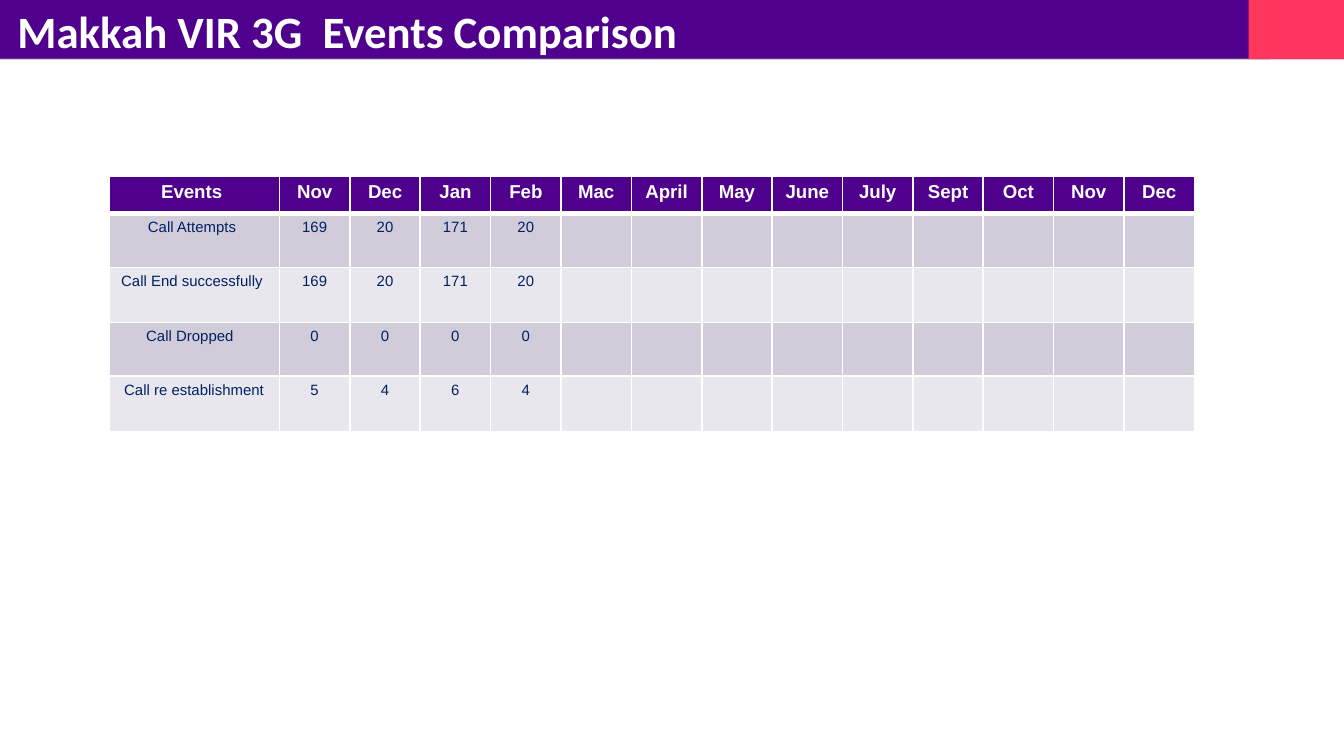
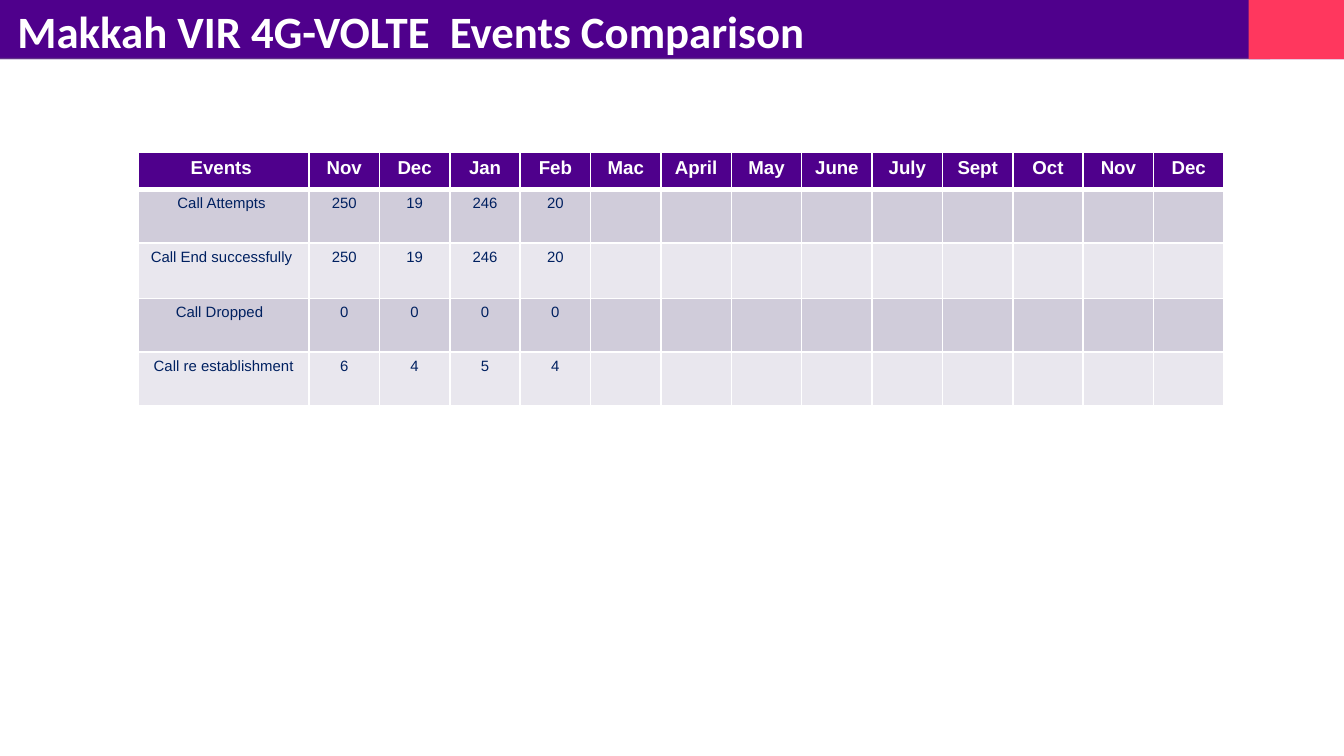
from lxml import etree
from pptx import Presentation
from pptx.dml.color import RGBColor
from pptx.enum.shapes import MSO_SHAPE
from pptx.enum.text import MSO_ANCHOR, PP_ALIGN
from pptx.oxml.ns import qn
from pptx.util import Inches, Pt

RECT = MSO_SHAPE.RECTANGLE
TOP = MSO_ANCHOR.TOP
CENTER = PP_ALIGN.CENTER

PURPLE = RGBColor(0x4F, 0x00, 0x8C)
RULE_PURPLE = RGBColor(0x62, 0x32, 0x89)
PINK = RGBColor(0xFF, 0x37, 0x5E)
WHITE = RGBColor(0xFF, 0xFF, 0xFF)
NAVY = RGBColor(0x00, 0x20, 0x60)
BAND_DARK = RGBColor(0xD0, 0xCC, 0xDA)
BAND_LIGHT = RGBColor(0xE9, 0xE7, 0xEE)

SLIDE_W = 10
SLIDE_H = SLIDE_W * 9 / 16
BAND_H = 0.44
ACCENT_W = 0.71
TABLE_W, EVENT_COL_W = 8.08, 1.27
HEADER_H = 0.28

HEADERS = ["Events ", "Nov", "Dec", "Jan", "Feb", "Mac", "April", "May",
           "June", "July", "Sept", "Oct", "Nov", "Dec"]
EVENTS = ["Call Attempts ", "Call End successfully ", "Call Dropped  ",
          "Call re establishment"]
MONTH_COL_W = (TABLE_W - EVENT_COL_W) / (len(HEADERS) - 1)

# title, table left, table top, row heights, monthly values per event
COMPARISONS = [
    ("Makkah VIR 3G  Events Comparison", 0.81, 1.31, [0.4, 0.41, 0.4, 0.41],
     [[169, 20, 171, 20], [169, 20, 171, 20], [0, 0, 0, 0], [5, 4, 6, 4]]),
    ("Makkah VIR 4G-VOLTE  Events Comparison", 1.03, 1.13, [0.4, 0.41, 0.4, 0.4],
     [[250, 19, 246, 20], [250, 19, 246, 20], [0, 0, 0, 0], [6, 4, 5, 4]]),
]


def add_bar(s, left, top, width, height, color):
    bar = s.shapes.add_shape(RECT, Inches(left), Inches(top),
                             Inches(width), Inches(height))
    bar.shadow.inherit = False
    bar.fill.solid()
    bar.fill.fore_color.rgb = color
    bar.line.fill.background()


def style_font(font, name, size, color, bold):
    font.name = name
    font.size = Pt(size)
    font.bold = bold
    font.color.rgb = color


def add_title_band(s, title):
    add_bar(s, 0, 0, SLIDE_W, BAND_H, PURPLE)
    add_bar(s, 0, BAND_H - 0.01, 9.45, 0.01, RULE_PURPLE)
    add_bar(s, SLIDE_W - ACCENT_W, 0, ACCENT_W, BAND_H, PINK)
    box = s.shapes.add_textbox(Inches(0.13), Inches(0.03), Inches(9.44), Inches(0.43))
    tf = box.text_frame
    tf.word_wrap = True
    tf.vertical_anchor = TOP
    tf.margin_left = tf.margin_top = tf.margin_right = tf.margin_bottom = 0
    r = tf.paragraphs[0].add_run()
    r.text = title
    style_font(r.font, "Calibri", 24, WHITE, True)


def set_borders(cell, bottom=1, top=1):
    """Draw white cell borders; must run before the fill is set."""
    tc_pr = cell._tc.get_or_add_tcPr()
    for side, width in (("L", 1), ("R", 1), ("T", top), ("B", bottom)):
        ln = etree.SubElement(tc_pr, qn(f"a:ln{side}"), w=str(Pt(width)))
        fill = etree.SubElement(ln, qn("a:solidFill"))
        etree.SubElement(fill, qn("a:srgbClr"), val=str(WHITE))


def fill_cell(cell, text, fill, size, color, bold):
    cell.margin_left = cell.margin_right = Inches(0.07)
    cell.margin_top = cell.margin_bottom = Inches(0.04)
    cell.fill.solid()
    cell.fill.fore_color.rgb = fill
    p = cell.text_frame.paragraphs[0]
    p.alignment = CENTER
    if text:
        r = p.add_run()
        r.text = text
        style_font(r.font, "Arial", size, color, bold)
    else:
        etree.SubElement(p._p, qn("a:endParaRPr"), sz=str(size * 100))


def add_events_table(s, left, top, row_heights, values):
    heights = [HEADER_H] + row_heights
    frame = s.shapes.add_table(len(heights), len(HEADERS), Inches(left), Inches(top),
                               Inches(TABLE_W), Inches(sum(heights)))
    table = frame.table
    for i, column in enumerate(table.columns):
        column.width = Inches(MONTH_COL_W if i else EVENT_COL_W)
    for row, height in zip(table.rows, heights):
        row.height = Inches(height)

    for i, header in enumerate(HEADERS):
        cell = table.cell(0, i)
        set_borders(cell, bottom=3)
        fill_cell(cell, header, PURPLE, 10, WHITE, True)
    for i, (event, counts) in enumerate(zip(EVENTS, values), start=1):
        texts = [event] + [str(count) for count in counts]
        texts += [""] * (len(HEADERS) - len(texts))
        for j, text in enumerate(texts):
            cell = table.cell(i, j)
            set_borders(cell, top=3 if i == 1 else 1)
            fill_cell(cell, text, BAND_DARK if i % 2 else BAND_LIGHT, 8, NAVY, False)


def main():
    prs = Presentation()
    prs.slide_width, prs.slide_height = Inches(SLIDE_W), Inches(SLIDE_H)
    for title, left, top, row_heights, values in COMPARISONS:
        s = prs.slides.add_slide(prs.slide_layouts[6])
        add_title_band(s, title)
        add_events_table(s, left, top, row_heights, values)
    prs.save("out.pptx")


if __name__ == "__main__":
    main()
